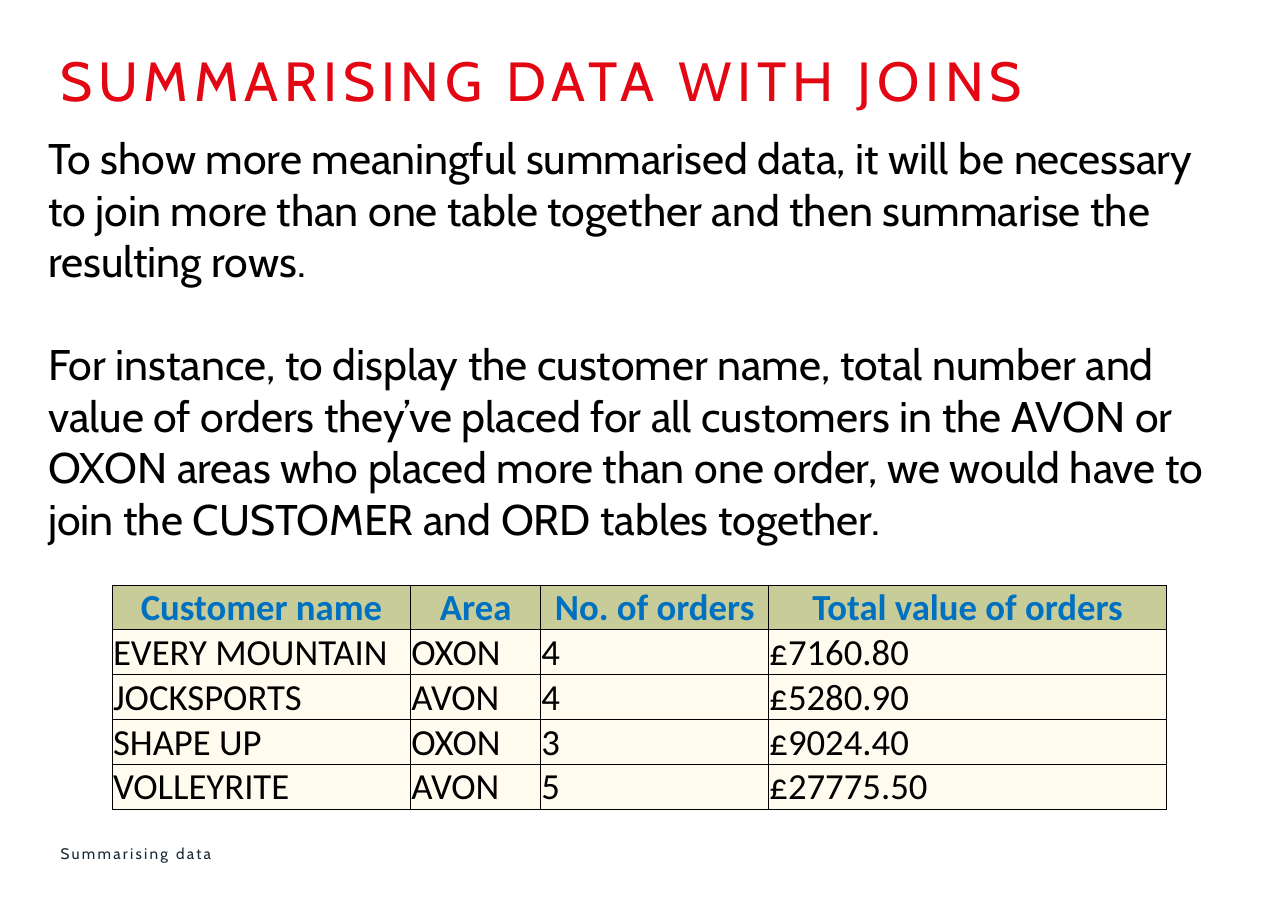
from lxml.etree import SubElement
from pptx import Presentation
from pptx.dml.color import RGBColor
from pptx.enum.shapes import MSO_SHAPE
from pptx.enum.text import MSO_ANCHOR as Anchor, PP_ALIGN as Align
from pptx.oxml import parse_xml
from pptx.oxml.ns import nsdecls, qn
from pptx.util import Pt

RED = RGBColor(0xE3, 0x06, 0x13)
BLUE = RGBColor(0x00, 0x70, 0xC0)
BLACK = RGBColor(0x00, 0x00, 0x00)
WHITE = RGBColor(0xFF, 0xFF, 0xFF)
NAVY = RGBColor(0x17, 0x29, 0x34)
OLIVE = RGBColor(0xC8, 0xCC, 0x98)
CREAM = RGBColor(0xFF, 0xFB, 0xEF)

TITLE = "SUMMARISING DATA WITH JOINS"
BODY = [
    "To show more meaningful summarised data, it will be necessary to join more than one "
    "table together and then summarise the resulting rows.",
    "For instance, to display the customer name, total number and value of orders they’ve "
    "placed for all customers in the AVON or OXON areas who placed more than one order, "
    "we would have to join the CUSTOMER and ORD tables together.",
]
ORDERS = [
    ("Customer name", "Area", "No. of orders", "Total value of orders"),
    ("EVERY MOUNTAIN", "OXON", "4", "£7160.80"),
    ("JOCKSPORTS", "AVON", "4", "£5280.90"),
    ("SHAPE UP", "OXON", "3", "£9024.40"),
    ("VOLLEYRITE", "AVON", "5", "£27775.50"),
]
FOOTER = "Summarising data"

TITLE_FONT = {"name": "Cabin", "size": Pt(36), "color": RED}
BODY_FONT = {"name": "Cabin", "size": Pt(28), "color": BLACK}
FOOTER_FONT = {"name": "Cabin", "size": Pt(10), "color": NAVY}
HEADER_FONT = {"name": "Calibri", "size": Pt(24), "color": BLUE, "bold": True}
CELL_FONT = {"name": "Calibri", "size": Pt(24), "color": BLACK, "bold": False}

COLUMN_WIDTHS = [195, 85, 149, 260]
ROW_HEIGHT = 29.3
PARAGRAPH_GAP = 33.7


def set_attributes(target, values):
    for name, value in values.items():
        setattr(target, name, value)


def add_run(paragraph, text, font, spacing=0):
    """Add formatted text; spacing is the letter spacing in points."""
    run = paragraph.add_run()
    run.text = text
    for name, value in font.items():
        if name == "color":
            run.font.color.rgb = value
        else:
            setattr(run.font, name, value)
    if spacing:
        run.font._element.set("spc", str(round(spacing * 100)))


def add_label(slide, box, text, font, spacing, anchor):
    frame = slide.shapes.add_textbox(*map(Pt, box)).text_frame
    set_attributes(frame, {
        "word_wrap": True, "vertical_anchor": anchor, "margin_left": 0,
        "margin_top": 0, "margin_right": 0, "margin_bottom": 0,
    })
    add_run(frame.paragraphs[0], text, font, spacing)


def add_body(slide):
    shape = slide.shapes.add_shape(MSO_SHAPE.RECTANGLE, *map(Pt, (24.5, 82.8, 786, 278.6)))
    shape.shadow.inherit = False
    shape.fill.solid()
    shape.fill.fore_color.rgb = WHITE
    shape.line.fill.background()
    frame = shape.text_frame
    set_attributes(frame, {"word_wrap": True, "vertical_anchor": Anchor.TOP})
    for index, text in enumerate(BODY):
        paragraph = frame.add_paragraph() if index else frame.paragraphs[0]
        paragraph.alignment = Align.LEFT
        paragraph.space_before = Pt(PARAGRAPH_GAP if index else 0)
        add_run(paragraph, text, BODY_FONT)


def add_borders(cell):
    properties = cell._tc.get_or_add_tcPr()
    for position, side in enumerate(("lnL", "lnR", "lnT", "lnB")):
        line = parse_xml(f'<a:{side} {nsdecls("a")} w="{Pt(0.5)}"/>')
        fill = SubElement(line, qn("a:solidFill"))
        SubElement(fill, qn("a:srgbClr"), val=str(BLACK))
        properties.insert(position, line)


def add_orders_table(slide):
    size = len(ORDERS), len(COLUMN_WIDTHS)
    box = 73.4, 382.3, sum(COLUMN_WIDTHS), ROW_HEIGHT * len(ORDERS)
    table = slide.shapes.add_table(*size, *map(Pt, box)).table
    for column, width in zip(table.columns, COLUMN_WIDTHS):
        column.width = Pt(width)
    for row_index, values in enumerate(ORDERS):
        table.rows[row_index].height = Pt(ROW_HEIGHT)
        is_header = row_index == 0
        for column_index, text in enumerate(values):
            cell = table.cell(row_index, column_index)
            set_attributes(cell, {
                "margin_left": Pt(0.5), "margin_top": Pt(0.5),
                "margin_right": Pt(0.5), "margin_bottom": 0,
                "vertical_anchor": Anchor.MIDDLE if is_header else Anchor.BOTTOM,
            })
            cell.fill.solid()
            cell.fill.fore_color.rgb = OLIVE if is_header else CREAM
            add_borders(cell)
            paragraph = cell.text_frame.paragraphs[0]
            paragraph.alignment = Align.CENTER if is_header else Align.LEFT
            add_run(paragraph, text, HEADER_FONT if is_header else CELL_FONT)


def main():
    presentation = Presentation()
    presentation.slide_width = Pt(841.7)
    presentation.slide_height = Pt(595.4)
    slide = presentation.slides.add_slide(presentation.slide_layouts[6])
    add_label(slide, (39.6, 30.2, 771, 44.6), TITLE, TITLE_FONT, 3.8, Anchor.TOP)
    add_body(slide)
    add_orders_table(slide)
    add_label(slide, (39.6, 550, 525, 16), FOOTER, FOOTER_FONT, 1.5, Anchor.MIDDLE)
    presentation.save("out.pptx")


if __name__ == "__main__":
    main()
